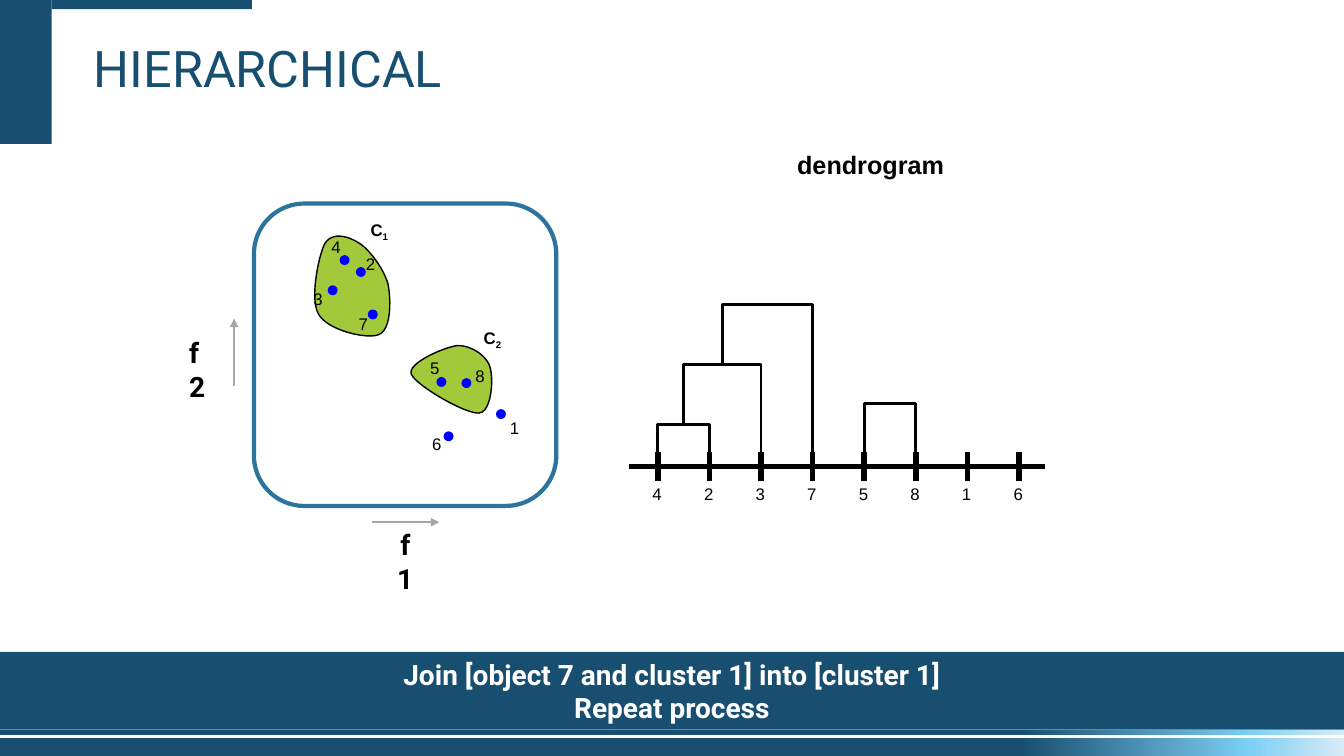
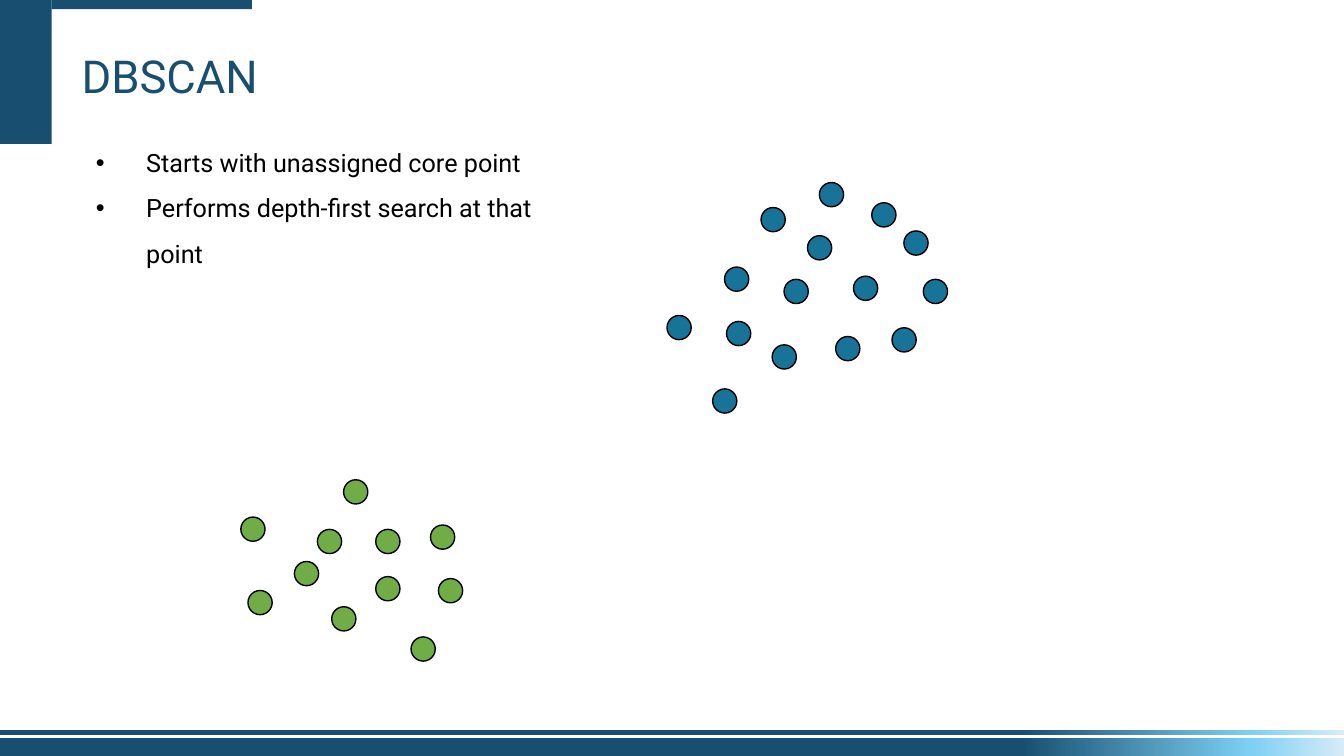
from dataclasses import dataclass
from typing import NamedTuple

from lxml.etree import SubElement
from pptx import Presentation
from pptx.dml.color import RGBColor
from pptx.enum.shapes import MSO_CONNECTOR, MSO_SHAPE
from pptx.enum.text import MSO_ANCHOR, MSO_AUTO_SIZE, PP_ALIGN
from pptx.oxml.ns import qn
from pptx.shapes.autoshape import Shape
from pptx.shapes.connector import Connector
from pptx.slide import Slide
from pptx.text.text import TextFrame
from pptx.util import Cm, Pt


# Theme and content records; every position and size is in centimetres
@dataclass(frozen=True)
class Theme:
    navy: RGBColor = RGBColor(0x18, 0x4F, 0x70)
    sky: RGBColor = RGBColor(0x7D, 0xCF, 0xF4)
    pale: RGBColor = RGBColor(0xD8, 0xEB, 0xF7)
    frame: RGBColor = RGBColor(0x2C, 0x73, 0x9E)
    teal: RGBColor = RGBColor(0x18, 0x73, 0x98)
    green: RGBColor = RGBColor(0x70, 0xAD, 0x47)
    lime: RGBColor = RGBColor(0xA1, 0xC9, 0x3A)
    blue: RGBColor = RGBColor(0x00, 0x00, 0xFF)
    grey: RGBColor = RGBColor(0xA6, 0xA6, 0xA6)
    black: RGBColor = RGBColor(0x00, 0x00, 0x00)
    white: RGBColor = RGBColor(0xFF, 0xFF, 0xFF)
    main_font: str = "Roboto"
    plot_font: str = "Arial"
    title: float = 36
    small_title: float = 32.4
    emphasis: float = 20
    body: float = 18
    label: float = 12


THEME = Theme()
SLIDE_WIDTH, SLIDE_HEIGHT = 33.87, 19.05


class Point(NamedTuple):
    x: float
    y: float


class Box(NamedTuple):
    left: float
    top: float
    width: float
    height: float


class DataObject(NamedTuple):
    number: str
    dot: Point
    label: Point


class Cluster(NamedTuple):
    number: str
    label: Point
    outline: list[Point]  # start, then two controls and an end per curve


class Merge(NamedTuple):
    left: float  # tick positions along the axis
    right: float
    top: float
    left_foot: float


OBJECTS = [
    DataObject("4", Point(8.56, 6.43), Point(8.1, 5.84)),
    DataObject("2", Point(8.97, 6.73), Point(8.97, 6.27)),
    DataObject("3", Point(8.26, 7.19), Point(7.65, 7.16)),
    DataObject("7", Point(9.27, 7.8), Point(8.79, 7.77)),
    DataObject("5", Point(11, 9.5), Point(10.59, 8.89)),
    DataObject("8", Point(11.63, 9.53), Point(11.73, 9.09)),
    DataObject("1", Point(12.5, 10.31), Point(12.6, 10.39)),
    DataObject("6", Point(11.18, 10.87), Point(10.64, 10.8)),
]
CLUSTERS = [
    Cluster("1", Point(9.09, 5.41), [
        Point(9.04, 6.12),
        Point(8.76, 5.94), Point(8.36, 5.84), Point(8.18, 6.15),
        Point(8.03, 6.45), Point(7.8, 7.54), Point(8.03, 7.92),
        Point(8.26, 8.33), Point(9.27, 8.56), Point(9.55, 8.43),
        Point(9.86, 8.31), Point(9.86, 7.57), Point(9.78, 7.16),
        Point(9.68, 6.78), Point(9.3, 6.27), Point(9.04, 6.12)]),
    Cluster("2", Point(11.94, 8.13), [
        Point(11.51, 8.71),
        Point(11.18, 8.76), Point(10.29, 9.14), Point(10.36, 9.42),
        Point(10.46, 9.7), Point(11.73, 10.44), Point(12.07, 10.41),
        Point(12.4, 10.39), Point(12.45, 9.5), Point(12.34, 9.22),
        Point(12.24, 8.94), Point(11.84, 8.69), Point(11.51, 8.71)]),
]

AXIS_Y, FIRST_TICK, TICK_GAP, HALF_TICK = 11.75, 16.58, 1.3, 0.36
MERGES = [
    Merge(0, 1, 10.69, AXIS_Y),
    Merge(4, 5, 10.16, AXIS_Y),
    Merge(0.5, 2, 9.19, 10.69),
    Merge(1.25, 3, 7.67, 9.19),
]

TEAL_POINTS = [
    Point(21.51, 6.96), Point(21.06, 8.48), Point(19.76, 7.04), Point(18.31, 8.1),
    Point(19.46, 8.69), Point(20.35, 5.94), Point(22.78, 5.82), Point(21.97, 5.11),
    Point(22.48, 8.26), Point(18.26, 6.73), Point(20.65, 4.6), Point(17.96, 9.8),
    Point(23.27, 7.04), Point(16.81, 7.95), Point(19.18, 5.23),
]
GREEN_POINTS = [
    Point(10.36, 16.05), Point(8.36, 15.29), Point(8, 13.34), Point(9.47, 14.53),
    Point(9.47, 13.34), Point(11.05, 14.58), Point(10.85, 13.23), Point(8.66, 12.09),
    Point(6.25, 14.88), Point(6.07, 13.03), Point(7.42, 14.15),
]


# Drawing helpers
def lengths(values: tuple[float, ...]) -> list[Cm]:
    return [Cm(value) for value in values]


def paint(shape: Shape, fill: RGBColor | None = None,
          line: RGBColor | None = None, width: float = 1) -> None:
    shape.shadow.inherit = False
    if fill is None:
        shape.fill.background()
    else:
        shape.fill.solid()
        shape.fill.fore_color.rgb = fill
    if line is None:
        shape.line.fill.background()
    else:
        shape.line.color.rgb = line
        shape.line.width = Pt(width)


def add_figure(slide: Slide, kind: MSO_SHAPE, box: Box, fill: RGBColor | None = None,
               line: RGBColor | None = None, width: float = 1) -> Shape:
    figure = slide.shapes.add_shape(kind, *lengths(box))
    paint(figure, fill, line, width)
    return figure


def add_dot(slide: Slide, spot: Point, size: float, fill: RGBColor,
            line: RGBColor | None = None) -> None:
    add_figure(slide, MSO_SHAPE.OVAL, Box(*spot, size, size), fill, line)


def write(frame: TextFrame, text: str, size: float, color: RGBColor = THEME.black,
          font: str = THEME.main_font, bold: bool = False,
          align: PP_ALIGN = PP_ALIGN.LEFT, spacing: float = 1) -> None:
    frame.text = text
    for paragraph in frame.paragraphs:
        paragraph.alignment = align
        paragraph.line_spacing = spacing
        paragraph.space_before = Pt(0)
        for run in paragraph.runs:
            run.font.size = Pt(size)
            run.font.name = font
            run.font.bold = bold
            run.font.color.rgb = color


def add_label(slide: Slide, box: Box, text: str, size: float = THEME.label,
              font: str = THEME.plot_font, bold: bool = False,
              align: PP_ALIGN = PP_ALIGN.LEFT, wrap: bool = False) -> TextFrame:
    frame = slide.shapes.add_textbox(*lengths(box)).text_frame
    frame.word_wrap = wrap
    write(frame, text, size, font=font, bold=bold, align=align)
    return frame


def add_line(slide: Slide, start: Point, end: Point, color: RGBColor,
             width: float, arrow: bool = False) -> Connector:
    line = slide.shapes.add_connector(MSO_CONNECTOR.STRAIGHT, *lengths((*start, *end)))
    line.line.color.rgb = color
    line.line.width = Pt(width)
    properties = line.element.spPr
    if arrow:
        SubElement(properties.find(qn("a:ln")), qn("a:tailEnd"), type="triangle")
    SubElement(properties, qn("a:effectLst"))
    return line


def add_outline(slide: Slide, points: list[Point], close: bool,
                fill: RGBColor | None, width: float) -> None:
    corners = [tuple(lengths(point)) for point in points]
    builder = slide.shapes.build_freeform(*corners[0])
    builder.add_line_segments(corners[1:], close=close)
    paint(builder.convert_to_shape(), fill, THEME.black, width)


def smooth_outline(points: list[Point], steps: int = 12) -> list[Point]:
    """Follow the cubic curves through the given points."""
    outline = [points[0]]
    for first in range(0, len(points) - 1, 3):
        curve = points[first:first + 4]
        for step in range(1, steps + 1):
            t = step / steps
            weights = ((1 - t) ** 3, 3 * t * (1 - t) ** 2, 3 * t * t * (1 - t), t ** 3)
            outline.append(Point(sum(w * p.x for w, p in zip(weights, curve)),
                                 sum(w * p.y for w, p in zip(weights, curve))))
    return outline


# Shared parts
def add_master_bands(slide: Slide) -> None:
    """Draw the corner and footer bands and move them to the master."""
    bands = [add_figure(slide, MSO_SHAPE.RECTANGLE, box, THEME.navy) for box in (
        Box(0, 18.59, SLIDE_WIDTH, 0.46), Box(0, 18.39, SLIDE_WIDTH, 0.13),
        Box(0, 0, 1.3, 3.63), Box(1.3, 0, 5.05, 0.23))]
    for footer in bands[:2]:
        footer.fill.gradient()
        footer.fill.gradient_angle = 0
        stops = footer.element.spPr.find(".//" + qn("a:gsLst"))
        stops.clear()
        for percent, color in ((76, THEME.navy), (93, THEME.sky), (100, THEME.pale)):
            stop = SubElement(stops, qn("a:gs"), pos=str(percent * 1000))
            SubElement(stop, qn("a:srgbClr"), val=str(color))
    for band in bands:
        slide.slide_layout.slide_master.shapes.element.append(band.element)


def place(holder: Shape, box: Box, anchor: MSO_ANCHOR) -> TextFrame:
    holder.left, holder.top, holder.width, holder.height = lengths(box)
    frame = holder.text_frame
    frame.auto_size = MSO_AUTO_SIZE.NONE
    frame.word_wrap = True
    frame.vertical_anchor = anchor
    return frame


def set_title(slide: Slide, text: str, box: Box, size: float,
              anchor: MSO_ANCHOR, spacing: float) -> None:
    write(place(slide.shapes.title, box, anchor), text, size, THEME.navy, spacing=spacing)


# Slides
def draw_scatter(slide: Slide) -> None:
    for cluster in CLUSTERS:
        add_outline(slide, smooth_outline(cluster.outline), True, THEME.lime, 1)
        name = add_label(slide, Box(*cluster.label, 0.97, 0.76), "C", bold=True)
        subscript = name.paragraphs[0].add_run()
        subscript.text = cluster.number
        subscript.font.size, subscript.font.bold = Pt(THEME.label), True
        subscript.font.name = THEME.plot_font
        subscript.font.color.rgb = THEME.black
        subscript.font._element.set("baseline", "-25000")
    for item in OBJECTS:
        add_dot(slide, item.dot, 0.25, THEME.blue)
        add_label(slide, Box(*item.label, 0.74, 0.76), item.number)
    add_figure(slide, MSO_SHAPE.ROUNDED_RECTANGLE, Box(6.4, 5.13, 7.62, 7.62),
               line=THEME.frame, width=3)
    # Feature axes
    add_line(slide, Point(9.37, 13.16), Point(11.07, 13.16), THEME.grey, 1.5, arrow=True)
    add_line(slide, Point(5.9, 9.73), Point(5.9, 8.03), THEME.grey, 1.5, arrow=True)
    for feature, box, align in (("f1", Box(9.73, 13.18, 0.97, 1.12), PP_ALIGN.CENTER),
                                ("f2", Box(4.52, 8.33, 1.12, 1.12), PP_ALIGN.LEFT)):
        add_label(slide, box, feature, THEME.emphasis, THEME.main_font, True, align, True)


def draw_dendrogram(slide: Slide) -> None:
    add_label(slide, Box(19.84, 3.63, 4.22, 1.02), "dendrogram", THEME.body, bold=True)
    add_line(slide, Point(15.85, AXIS_Y), Point(26.34, AXIS_Y), THEME.black, 4)
    for index, item in enumerate(OBJECTS):
        x = FIRST_TICK + index * TICK_GAP
        add_line(slide, Point(x, AXIS_Y - HALF_TICK), Point(x, AXIS_Y + HALF_TICK),
                 THEME.black, 4)
        add_label(slide, Box(x - 0.39, 12.07, 0.74, 0.76), item.number,
                  align=PP_ALIGN.CENTER)
    for merge in MERGES:
        left, right = (FIRST_TICK + tick * TICK_GAP for tick in (merge.left, merge.right))
        add_outline(slide, [Point(left, merge.left_foot), Point(left, merge.top),
                            Point(right, merge.top), Point(right, AXIS_Y)], False, None, 2)


def draw_hierarchical(slide: Slide) -> None:
    set_title(slide, "HIERARCHICAL", Box(2.11, 0.99, 23.93, 1.65),
              THEME.title, MSO_ANCHOR.TOP, 0.9)
    draw_scatter(slide)
    draw_dendrogram(slide)
    banner = add_figure(slide, MSO_SHAPE.RECTANGLE,
                        Box(0, 16.43, SLIDE_WIDTH, 1.96), THEME.navy)
    write(banner.text_frame,
          "Join [object 7 and cluster 1] into [cluster 1]\nRepeat process",
          THEME.emphasis, THEME.white, bold=True, align=PP_ALIGN.CENTER)


def draw_dbscan(slide: Slide) -> None:
    set_title(slide, "DBSCAN", Box(1.8, 0.58, 7.65, 1.93),
              THEME.small_title, MSO_ANCHOR.MIDDLE, 1.5)
    steps = place(slide.placeholders[1], Box(2.16, 3.2, 12.55, 3.8), MSO_ANCHOR.TOP)
    write(steps, "Starts with unassigned core point\nPerforms depth-first search at that point",
          THEME.body, spacing=1.5)
    for step in steps.paragraphs:
        properties = step._p.get_or_add_pPr()
        properties.set("marL", str(Cm(1.27)))
        properties.set("indent", str(-Cm(1.27)))
        SubElement(properties, qn("a:buChar"), char="•")
    for points, color in ((TEAL_POINTS, THEME.teal), (GREEN_POINTS, THEME.green)):
        for spot in points:
            add_dot(slide, spot, 0.61, color, THEME.black)


def main() -> None:
    deck = Presentation()
    deck.slide_width, deck.slide_height = lengths((SLIDE_WIDTH, SLIDE_HEIGHT))
    title_only, title_and_body = deck.slide_layouts[5], deck.slide_layouts[1]
    hierarchical = deck.slides.add_slide(title_only)
    add_master_bands(hierarchical)
    draw_hierarchical(hierarchical)
    draw_dbscan(deck.slides.add_slide(title_and_body))
    deck.save("out.pptx")


if __name__ == "__main__":
    main()
